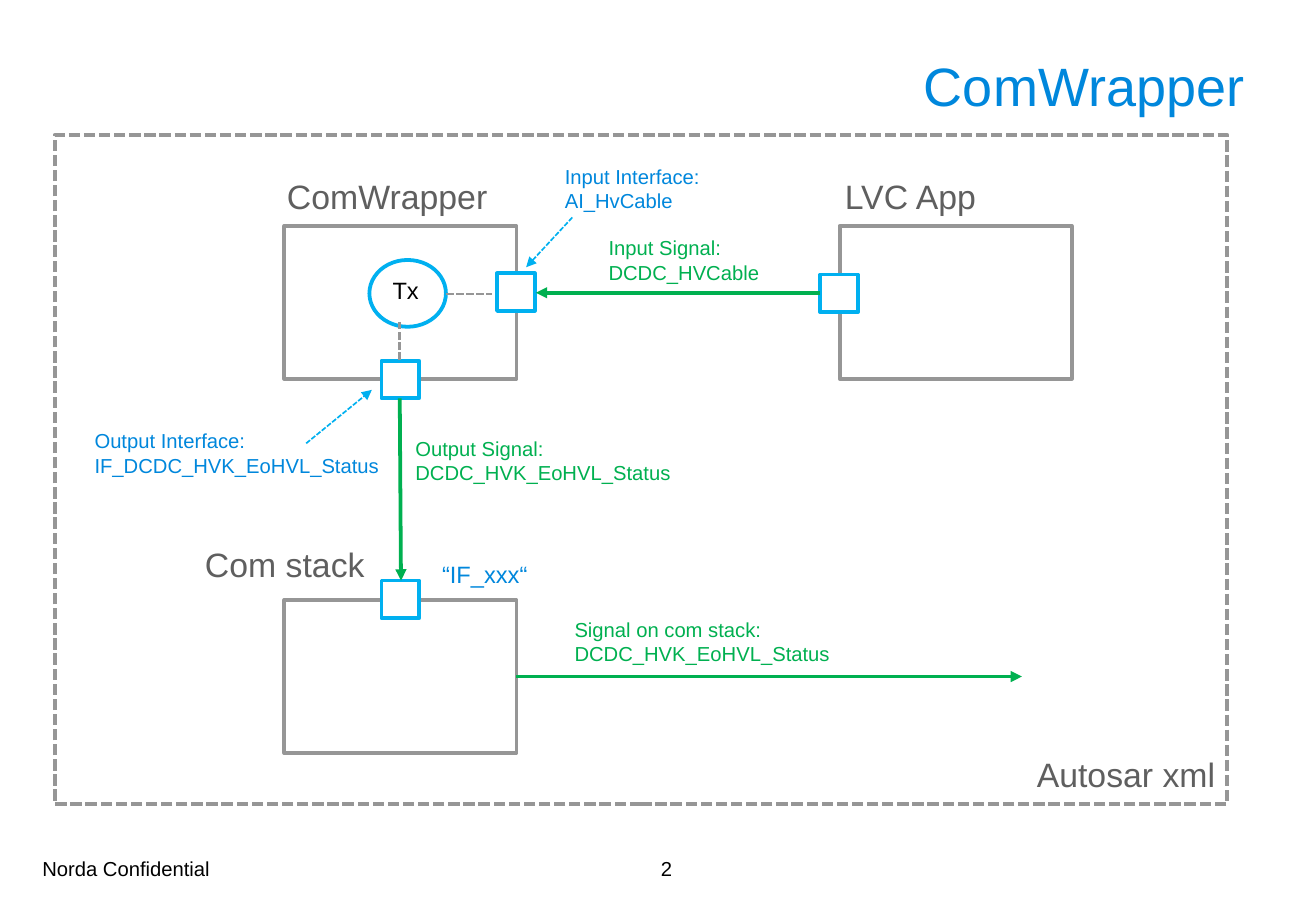
from dataclasses import dataclass

from lxml.etree import SubElement
from pptx import Presentation
from pptx.dml.color import RGBColor
from pptx.enum.dml import MSO_LINE_DASH_STYLE as Dash
from pptx.enum.shapes import MSO_CONNECTOR as Connector
from pptx.enum.shapes import MSO_SHAPE as Shape
from pptx.enum.text import MSO_ANCHOR as Anchor
from pptx.enum.text import PP_ALIGN as Align
from pptx.oxml.ns import qn
from pptx.util import Inches, Pt


@dataclass(frozen=True)
class Theme:
    """Colours, type sizes and line widths of the slide."""
    font: str = "Arial"
    blue: str = "0087DC"
    cyan: str = "00B0F0"
    green: str = "00B050"
    grey: str = "969696"
    caption: str = "5F5F5F"
    black: str = "000000"
    white: str = "FFFFFF"
    title_size: float = 32
    caption_size: float = 20
    label_size: float = 14
    small_size: float = 12
    thick: float = 2.25
    medium: float = 1.5
    thin: float = 1


THEME = Theme()
PORT = 0.31
CAPTION_WIDTH = 2
LABEL_WIDTH = 2.7


def write(frame, lines, size, color, align=Align.LEFT):
    """Fill a text frame with one paragraph per line."""
    frame.text = "\n".join(lines)
    for paragraph in frame.paragraphs:
        paragraph.alignment = align
        paragraph.font.name = THEME.font
        paragraph.font.size = Pt(size)
        paragraph.font.color.rgb = RGBColor.from_string(color)


def add_text(slide, box, lines, size, color, align=Align.LEFT):
    """Add a vertically centred text box."""
    frame = slide.shapes.add_textbox(*map(Inches, box)).text_frame
    frame.word_wrap = True
    frame.vertical_anchor = Anchor.MIDDLE
    write(frame, lines, size, color, align)


def add_caption(slide, right, top, name, size=THEME.caption_size, color=THEME.caption):
    """Add a one-line caption that ends at the given right edge."""
    add_text(slide, (right - CAPTION_WIDTH, top, CAPTION_WIDTH, 1), [name],
             size, color, Align.RIGHT)


def add_outline(slide, kind, box, color, fill=None, dash=None):
    """Add an outlined shape, hollow unless a fill is given."""
    outline = slide.shapes.add_shape(kind, *map(Inches, box))
    outline.shadow.inherit = False
    outline.line.color.rgb = RGBColor.from_string(color)
    outline.line.width = Pt(THEME.thick)
    if dash:
        outline.line.dash_style = dash
    if fill:
        outline.fill.solid()
        outline.fill.fore_color.rgb = RGBColor.from_string(fill)
    else:
        outline.fill.background()
    return outline


def add_link(slide, start, end, color, width, dashed=False, arrow=True):
    """Join two points with a straight line, optionally with an arrowhead."""
    link = slide.shapes.add_connector(Connector.STRAIGHT, *map(Inches, (*start, *end)))
    link.line.color.rgb = RGBColor.from_string(color)
    link.line.width = Pt(width)
    if dashed:
        link.line.dash_style = Dash.SQUARE_DOT
    properties = link._element.spPr
    if arrow:
        SubElement(properties.find(qn("a:ln")), qn("a:tailEnd"), type="triangle")
    SubElement(properties, qn("a:effectLst"))


def add_component(slide, box, name, name_offset, ports):
    """Draw a component with its name and the ports on its border."""
    left, top = box[:2]
    add_outline(slide, Shape.RECTANGLE, box, THEME.grey)
    dx, dy = name_offset
    add_caption(slide, left + dx, top + dy, name)
    for dx, dy in ports:
        add_outline(slide, Shape.RECTANGLE, (left + dx, top + dy, PORT, PORT),
                    THEME.cyan, THEME.white)


def add_header(slide, box):
    """Place the slide title."""
    add_text(slide, box, ["ComWrapper"], THEME.title_size, THEME.blue, Align.RIGHT)


def add_diagram(slide, box):
    """Draw the framed component diagram with its signals and labels."""
    left, top, width, height = box

    def at(x, y):
        return left + x, top + y

    add_outline(slide, Shape.RECTANGLE, box, THEME.grey, dash=Dash.SQUARE_DOT)
    add_caption(slide, left + width, top + height - 0.75, "Autosar xml")

    components = [
        ((1.89, 0.75), "ComWrapper", (1.77, -0.75), [(1.75, 0.39), (0.8, 1.11)]),
        ((6.46, 0.75), "LVC App", (1.22, -0.75), [(-0.16, 0.4)]),
        ((1.89, 3.83), "Com stack", (0.76, -0.8), [(0.8, -0.16)]),
    ]
    for corner, name, name_offset, ports in components:
        add_component(slide, (*at(*corner), 1.91, 1.26), name, name_offset, ports)

    transmitter = add_outline(slide, Shape.OVAL, (*at(2.59, 1.03), 0.63, 0.55), THEME.cyan)
    transmitter.text_frame.vertical_anchor = Anchor.TOP
    write(transmitter.text_frame, ["Tx"], THEME.label_size, THEME.black)

    signals = [((6.3, 1.3), (3.96, 1.3)), ((2.84, 2.17), (2.85, 3.67)),
               ((3.8, 4.46), (7.96, 4.46))]
    for start, end in signals:
        add_link(slide, at(*start), at(*end), THEME.green, THEME.thick)

    inner_links = [((2.84, 1.54), (2.84, 1.86)), ((3.22, 1.31), (3.6, 1.31))]
    for start, end in inner_links:
        add_link(slide, at(*start), at(*end), THEME.grey, THEME.medium, dashed=True, arrow=False)

    pointers = [((4.26, 0.68), (3.88, 1.09)), ((2.07, 2.54), (2.61, 2.1))]
    for start, end in pointers:
        add_link(slide, at(*start), at(*end), THEME.cyan, THEME.thin, dashed=True)

    labels = [
        ((4.46, 0.53), THEME.green, ["Input Signal:", "DCDC_HVCable"]),
        ((2.87, 2.18), THEME.green, ["Output Signal:", "DCDC_HVK_EoHVL_Status"]),
        ((4.18, 3.67), THEME.green, ["Signal on com stack:", "DCDC_HVK_EoHVL_Status"]),
        ((4.1, -0.06), THEME.blue, ["Input Interface:", "AI_HvCable"]),
        ((0.23, 2.12), THEME.blue, ["Output Interface:", "IF_DCDC_HVK_EoHVL_Status"]),
    ]
    for corner, color, lines in labels:
        add_text(slide, (*at(*corner), LABEL_WIDTH, 1), lines, THEME.small_size, color)
    add_caption(slide, *at(3.99, 3.12), "“IF_xxx“", THEME.label_size, THEME.blue)


def add_footer(slide, box):
    """Place the confidentiality mark and the page number."""
    left, top, width, height = box
    add_text(slide, (left, top, 1.96, height), ["Norda Confidential"],
             THEME.small_size, THEME.black)
    add_text(slide, (left + width - 2.53, top, 2.53, height), ["2"],
             THEME.small_size, THEME.black, Align.CENTER)


def main():
    """Build the slide and save it."""
    deck = Presentation()
    deck.slide_width, deck.slide_height = Inches(10.83), Inches(7.5)
    slide = deck.slides.add_slide(deck.slide_layouts[6])
    add_header(slide, (2.53, 0.23, 7.81, 0.94))
    add_diagram(slide, (0.45, 1.11, 9.65, 5.51))
    add_footer(slide, (0.25, 6.95, 6.5, 0.4))
    deck.save("out.pptx")


if __name__ == "__main__":
    main()
